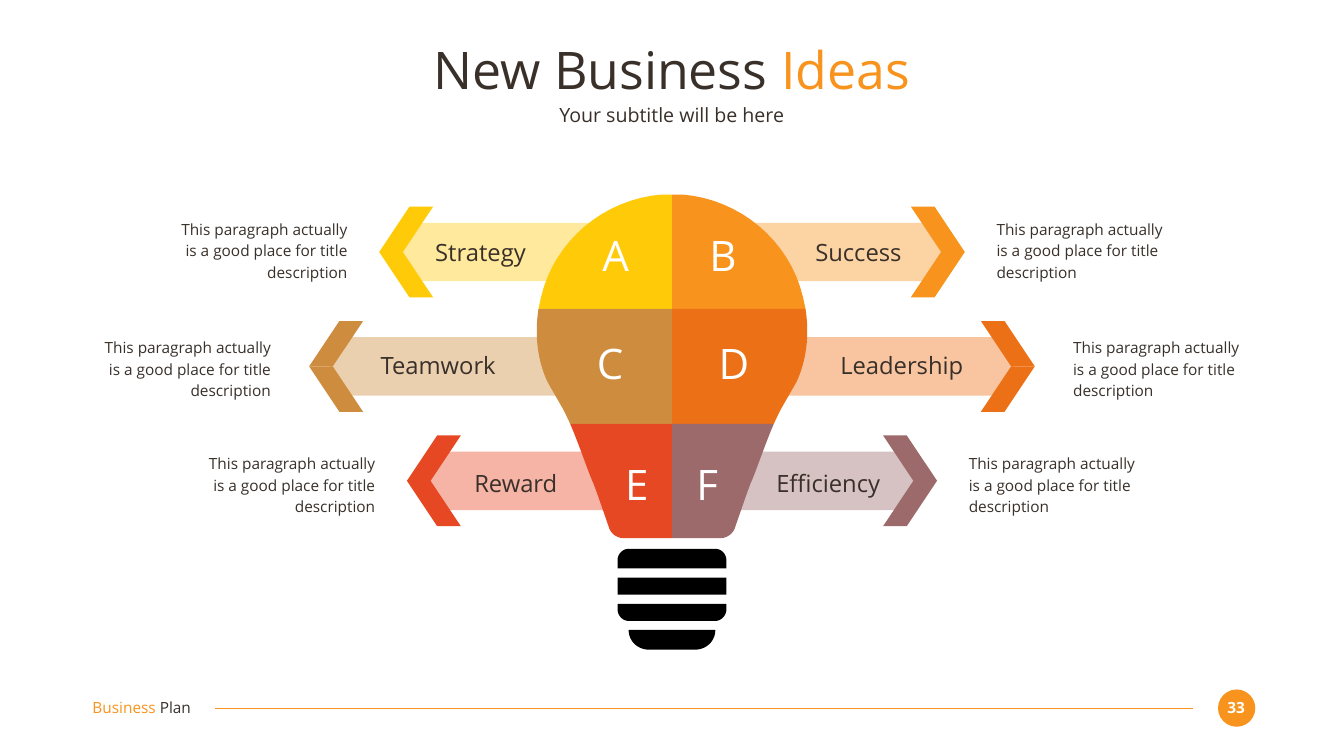
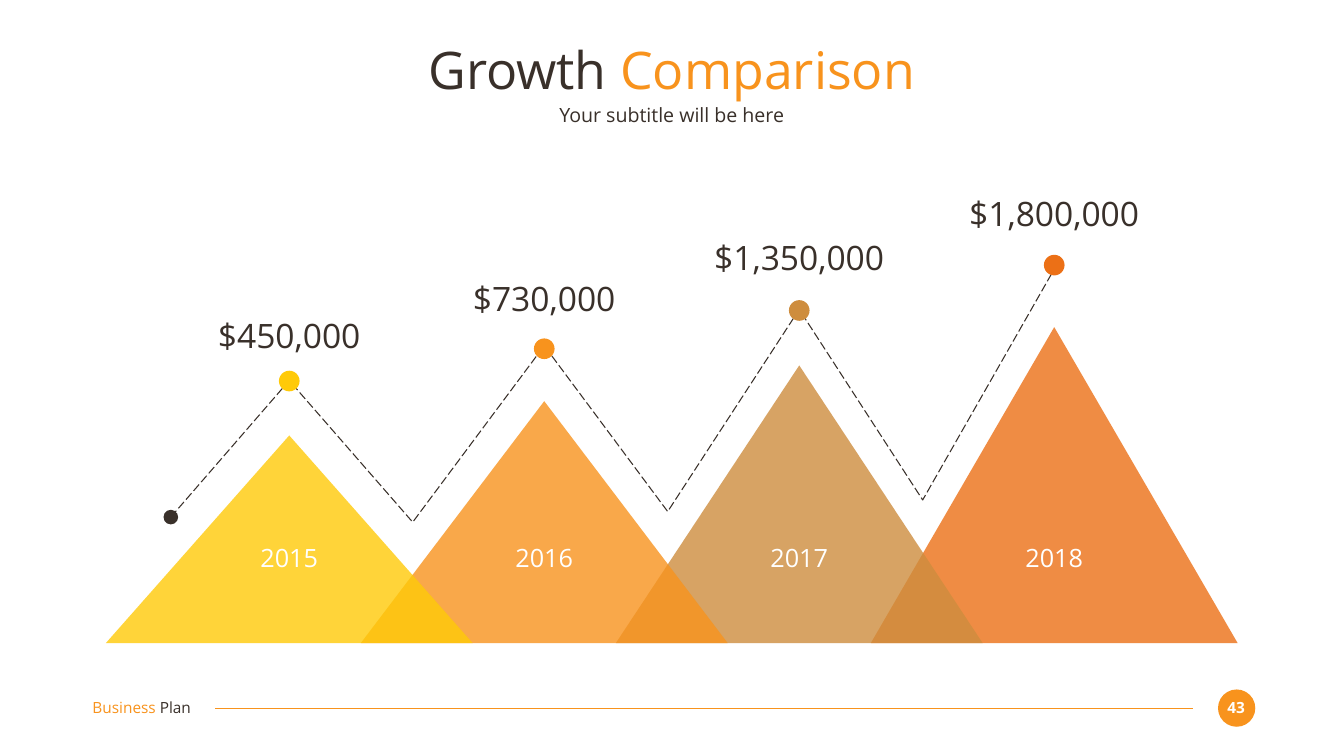
from lxml import etree
from pptx import Presentation
from pptx.dml.color import RGBColor
from pptx.enum.dml import MSO_LINE
from pptx.enum.shapes import MSO_CONNECTOR, MSO_SHAPE
from pptx.enum.text import MSO_ANCHOR, MSO_AUTO_SIZE, PP_ALIGN
from pptx.oxml.ns import qn
from pptx.util import Inches, Pt

LEFT, CENTER, RIGHT = PP_ALIGN.LEFT, PP_ALIGN.CENTER, PP_ALIGN.RIGHT
MIDDLE = MSO_ANCHOR.MIDDLE
NO_FIT, SHRINK = MSO_AUTO_SIZE.NONE, MSO_AUTO_SIZE.TEXT_TO_FIT_SHAPE
OVAL, TRIANGLE = MSO_SHAPE.OVAL, MSO_SHAPE.ISOSCELES_TRIANGLE
STRAIGHT, LONG_DASH = MSO_CONNECTOR.STRAIGHT, MSO_LINE.LONG_DASH

W, H = 26.67, 15
AXIS = W / 2
MARGIN = 1.83
FONT = "Open Sans"
INK, WHITE, BLACK = "39302A", "FFFFFF", "000000"
YELLOW, ORANGE, OCHRE, RUST = "FFCA08", "F8931D", "CE8D3E", "EC7016"
RED, MAUVE = "E64823", "9C6A6A"

SUBTITLE = "Your subtitle will be here"
DESCRIPTION = "This paragraph actually is a good place for title description"

ROW_TOP, ROW_STEP = 5, 2.27
IDEA_ROWS = [
    {"tip": 5.81, "bar": 0.64, "gap": 0.63, "text_y": 4.94, "letter_y": 5.06,
     "label_y": 4.99, "label_w": 2.68, "sides": [
         (-1, "A", 1.12, "Strategy", 3.8, YELLOW, "FFE99C"),
         (1, "B", 1.01, "Success", 3.7, ORANGE, "FCD3A3")]},
    {"tip": 7.2, "bar": 0.64, "gap": 0.76, "text_y": 7.29, "letter_y": 7.2,
     "label_y": 7.24, "label_w": 3.7, "sides": [
         (-1, "C", 1.23, "Teamwork", 4.64, OCHRE, "EBD0B0"),
         (1, "D", 1.23, "Leadership", 4.56, RUST, "F8C5A0")]},
    {"tip": 5.26, "bar": 0.08, "gap": 0.63, "text_y": 9.59, "letter_y": 9.6,
     "label_y": 9.59, "label_w": 2.68, "sides": [
         (-1, "E", 0.7, "Reward", 3.1, RED, "F5B4A5"),
         (1, "F", 0.7, "Efficiency", 3.1, MAUVE, "D6C2C2")]},
]
BULB_ROWS = [
    [(0, 3.86), (0.2, 3.86), (1.35, 3.95, 2.34, 4.78, 2.6, 5.9),
     (2.65, 6.13), (0, 6.13)],
    [(0, 6.13), (2.65, 6.13), (2.73, 6.65, 2.67, 7.15, 2.47, 7.58),
     (2.16, 8.12), (2.12, 8.2, 2.07, 8.3, 2.02, 8.41), (0, 8.41)],
    [(0, 8.41), (2.02, 8.41), (1.84, 8.83, 1.65, 9.4, 1.56, 9.59),
     (1.49, 9.77, 1.35, 10.18, 1.25, 10.47),
     (1.21, 10.59, 1.09, 10.68, 0.95, 10.68), (0, 10.68)],
]
SOCKET_RINGS = [
    [(0, 10.89), (0.86, 10.89), (0.98, 10.89, 1.08, 10.99, 1.08, 11.12),
     (1.08, 11.28), (0, 11.28)],
    [(0, 11.46), (1.08, 11.46), (1.08, 11.8), (0, 11.8)],
    [(0, 11.98), (1.08, 11.98), (1.08, 12.09),
     (1.08, 12.21, 0.98, 12.32, 0.86, 12.32), (0, 12.32)],
    [(0, 12.5), (0.86, 12.5), (0.86, 12.72, 0.68, 12.89, 0.46, 12.89),
     (0, 12.89)],
]

PEAK_LEFT, PEAK_STEP, PEAK_BASE, PEAK_W = 5.74, 5.06, 12.76, 7.28
PEAKS = [
    {"year": "2015", "value": "$450,000", "color": YELLOW,
     "height": 4.12, "dot_y": 7.56, "line_y": 7.55, "value_y": 6.64},
    {"year": "2016", "value": "$730,000", "color": ORANGE,
     "height": 4.8, "dot_y": 6.92, "line_y": 6.86, "value_y": 5.92},
    {"year": "2017", "value": "$1,350,000", "color": OCHRE,
     "height": 5.51, "dot_y": 6.16, "line_y": 6.14, "value_y": 5.1},
    {"year": "2018", "value": "$1,800,000", "color": RUST,
     "height": 6.27, "dot_y": 5.26, "line_y": 5.34, "value_y": 4.22},
]
TREND_START = (3.39, 10.26)
VALLEYS = [10.36, 10.15, 9.92]


def paint(fill, color, shape=None, alpha=None):
    """Fill with a hex colour; alpha is the opacity of a shape in percent."""
    fill.solid()
    fill.fore_color.rgb = RGBColor.from_string(color)
    if alpha:
        clr = shape._element.spPr.find(".//" + qn("a:srgbClr"))
        etree.SubElement(clr, qn("a:alpha"), val=str(alpha * 1000))


def write(tf, runs, size, align=CENTER, bold=False, spacing=1.0, fit=NO_FIT):
    """Write one paragraph of (text, colour) runs into a text frame."""
    frame = {"margin_left": 0, "margin_right": 0, "margin_top": 0,
             "margin_bottom": 0, "word_wrap": True, "auto_size": fit,
             "vertical_anchor": MIDDLE}
    for name, value in frame.items():
        setattr(tf, name, value)
    p = tf.paragraphs[0]
    para = {"alignment": align, "line_spacing": spacing, "space_before": Pt(0)}
    for name, value in para.items():
        setattr(p, name, value)
    for text, color in runs:
        r = p.add_run()
        r.text = text
        for name, value in {"name": FONT, "size": Pt(size), "bold": bold}.items():
            setattr(r.font, name, value)
        paint(r.font.fill, color)
    return p


def label(s, cx, cy, w, h, runs, size, **style):
    """Add a text box centred on a point."""
    box = s.shapes.add_textbox(Inches(cx - w / 2), Inches(cy - h / 2),
                               Inches(w), Inches(h))
    write(box.text_frame, runs, size, **style)


def finish(sp, color, alpha=None):
    """Give a shape a plain fill with neither line nor shadow."""
    sp.shadow.inherit = False
    sp.line.fill.background()
    paint(sp.fill, color, sp, alpha)


def preset(s, kind, cx, cy, w, h, color, alpha=None):
    """Add a preset shape centred on a point."""
    sp = s.shapes.add_shape(kind, Inches(cx - w / 2), Inches(cy - h / 2),
                            Inches(w), Inches(h))
    finish(sp, color, alpha)


def freeform(s, contours, close=True):
    """Add a freeform made of one or more lists of points."""
    builder = None
    for contour in contours:
        (x, y), *rest = [(Inches(x), Inches(y)) for x, y in contour]
        if builder is None:
            builder = s.shapes.build_freeform(x, y, scale=1.0)
        else:
            builder.move_to(x, y)
        builder.add_line_segments(rest, close=close)
    return builder.convert_to_shape()


def flatten(segments, steps=16):
    """Turn points and cubic curves into a list of points."""
    points = []
    for seg in segments:
        if len(seg) == 2:
            points.append(seg)
            continue
        knots = [points[-1], seg[:2], seg[2:4], seg[4:]]
        for i in range(1, steps + 1):
            t = i / steps
            weights = ((1 - t) ** 3, 3 * t * (1 - t) ** 2,
                       3 * t * t * (1 - t), t ** 3)
            points.append(tuple(sum(k * q[axis] for k, q in zip(weights, knots))
                                for axis in (0, 1)))
    return points


def from_axis(points, side):
    """Place offsets from the slide's centre line on one side of it."""
    return [(AXIS + side * x, y) for x, y in points]


def place(ph, x, y, w, h):
    """Move a placeholder."""
    box = {"left": x, "top": y, "width": w, "height": h}
    for name, value in box.items():
        setattr(ph, name, Inches(value))


def add_page(prs, lead, accent, number):
    """Add a slide with its heading, subtitle and footer."""
    s = prs.slides.add_slide(prs.slide_layouts[1])
    title, body = s.placeholders
    place(title, MARGIN, 0.73, 23, 1.27)
    write(title.text_frame, [(lead, INK), (accent, ORANGE)], 74)
    place(body, MARGIN, 2.03, 23, 0.49)
    pPr = write(body.text_frame, [(SUBTITLE, INK)], 28)._p.get_or_add_pPr()
    pPr.set("marL", "0")
    pPr.set("indent", "0")
    etree.SubElement(pPr, qn("a:buNone"))

    foot = 14.05
    preset(s, OVAL, 24.54, foot, 0.74, 0.74, ORANGE)
    label(s, 24.53, foot - 0.01, 0.59, 0.37, [(number, WHITE)], 22, bold=True)
    line = s.shapes.add_connector(STRAIGHT, Inches(23.67), Inches(foot),
                                  Inches(4.27), Inches(foot))
    paint(line.line.fill, ORANGE)
    line.line.width = Pt(1.5)
    etree.SubElement(line._element.spPr, qn("a:effectLst"))
    label(s, 3.13, foot - 0.02, 2.59, 0.37,
          [("Business ", ORANGE), ("Plan", INK)], 22, align=LEFT)
    return s


def add_bar(s, side, start, tip, y, color):
    """Add a pale bar that ends in a point."""
    end, half = tip - 0.4, 0.58
    points = [(end - 0.35, y + half), (start, y + half), (start, y - half),
              (end - 0.35, y - half), (end, y)]
    finish(freeform(s, [from_axis(points, side)]), color)


def add_chevron(s, side, tip, y, color):
    """Add an arrowhead as an upper and a lower half."""
    for edge in (y - 0.9, y + 0.9):
        points = [(tip, y), (tip - 0.47, y), (tip - 1.07, edge), (tip - 0.6, edge)]
        finish(freeform(s, [from_axis(points, side)]), color)


def add_bulb(s):
    """Add the bulb's six coloured parts and its socket."""
    for row, outline in zip(IDEA_ROWS, BULB_ROWS):
        for side, *_, color, _ in row["sides"]:
            finish(freeform(s, [from_axis(flatten(outline), side)]), color)
    rings = []
    for ring in SOCKET_RINGS:
        half = flatten(ring)
        rings.append(from_axis(half, 1) + from_axis(half[::-1], -1))
    finish(freeform(s, rings), BLACK)


def add_ideas(s):
    """Draw the bulb with an arrow, label and description for each part."""
    for i, row in enumerate(IDEA_ROWS):
        for side, *_, pale in row["sides"]:
            add_bar(s, side, row["bar"], row["tip"], ROW_TOP + i * ROW_STEP, pale)
    add_bulb(s)
    for i, row in enumerate(IDEA_ROWS):
        for side, letter, letter_x, name, name_x, color, _ in row["sides"]:
            add_chevron(s, side, row["tip"], ROW_TOP + i * ROW_STEP, color)
            label(s, AXIS + side * letter_x, row["letter_y"], 1.07, 1.01,
                  [(letter, WHITE)], 60)
            label(s, AXIS + side * name_x, row["label_y"], row["label_w"], 0.57,
                  [(name, INK)], 34)
            label(s, AXIS + side * (row["tip"] + row["gap"] + 1.77),
                  row["text_y"], 3.54, 1.42, [(DESCRIPTION, INK)], 22,
                  align=LEFT if side > 0 else RIGHT, spacing=1.3, fit=SHRINK)


def add_growth(s):
    """Draw the yearly peaks, the dashed trend and the values."""
    columns = [(PEAK_LEFT + i * PEAK_STEP, peak) for i, peak in enumerate(PEAKS)]
    for x, peak in reversed(columns):
        preset(s, TRIANGLE, x, PEAK_BASE - peak["height"] / 2, PEAK_W,
               peak["height"], peak["color"], alpha=80)
    trend = [TREND_START]
    for i, (x, peak) in enumerate(columns):
        trend.append((x, peak["line_y"]))
        trend += [(x + 2.45, y) for y in VALLEYS[i:i + 1]]
    sp = freeform(s, [trend], close=False)
    sp.shadow.inherit = False
    sp.fill.background()
    paint(sp.line.fill, INK)
    sp.line.width = Pt(1.5)
    sp.line.dash_style = LONG_DASH
    preset(s, OVAL, *TREND_START, 0.29, 0.29, INK)
    for x, peak in columns:
        label(s, x, 11.06, 2.41, 0.61, [(peak["year"], WHITE)], 36)
        label(s, x, peak["value_y"], 3.68, 0.81, [(peak["value"], INK)], 48)
        preset(s, OVAL, x, peak["dot_y"], 0.41, 0.41, peak["color"])


def main():
    """Build both slides and save them."""
    prs = Presentation()
    prs.slide_width, prs.slide_height = Inches(W), Inches(H)
    add_ideas(add_page(prs, "New Business ", "Ideas", "33"))
    add_growth(add_page(prs, "Growth ", "Comparison", "43"))
    prs.save("out.pptx")


if __name__ == "__main__":
    main()
